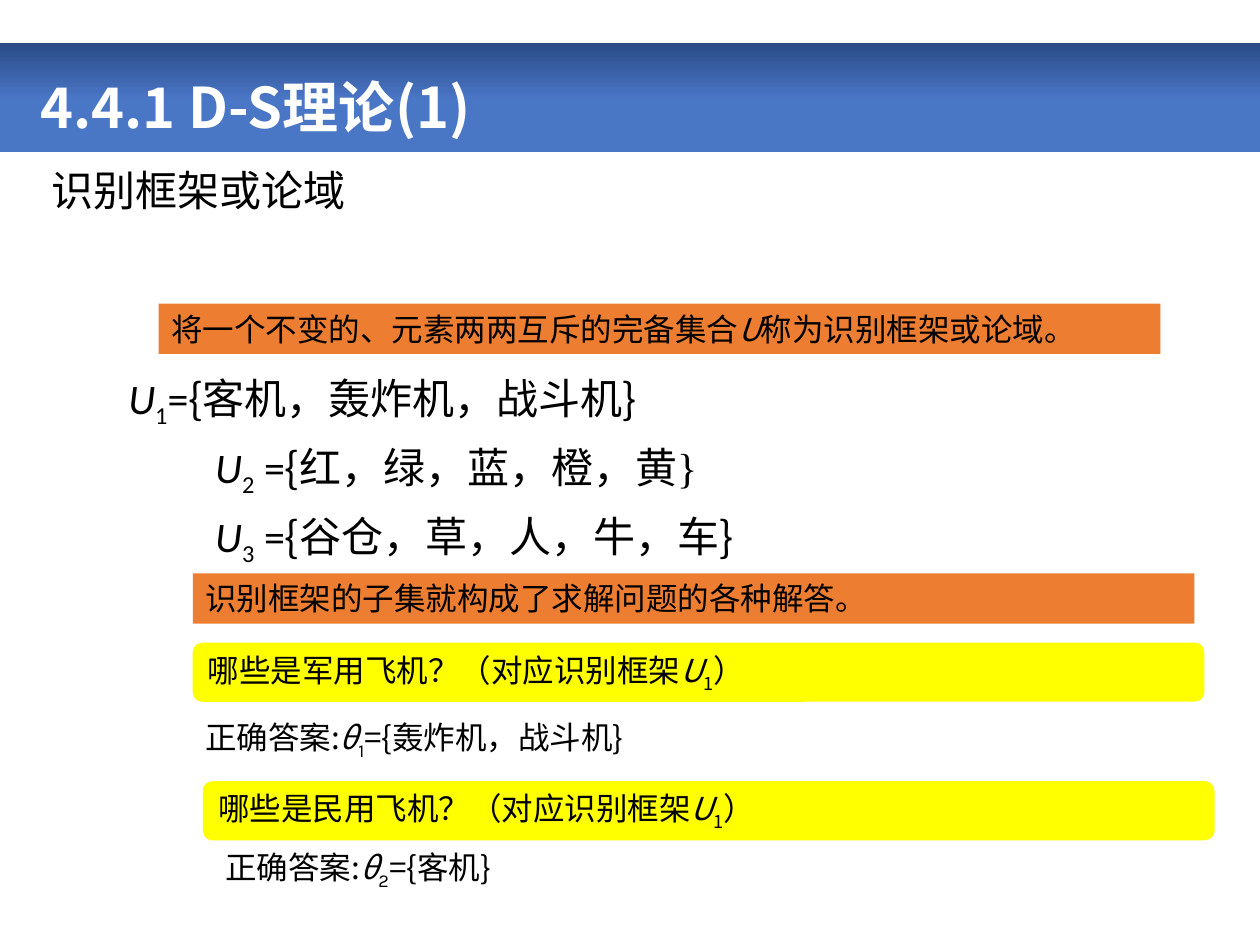
from dataclasses import dataclass

import pptx
import pptx.dml.color
import pptx.enum.shapes
import pptx.enum.text
import pptx.oxml.ns
import pptx.util
from lxml import etree

Inches = pptx.util.Inches
RGBColor = pptx.dml.color.RGBColor
Shape = pptx.enum.shapes.MSO_SHAPE
Anchor = pptx.enum.text.MSO_ANCHOR
Align = pptx.enum.text.PP_ALIGN

BLACK = RGBColor(0x00, 0x00, 0x00)
WHITE = RGBColor(0xFF, 0xFF, 0xFF)
BAND_BLUE = RGBColor(0x4A, 0x76, 0xC6)
BAND_NAVY = RGBColor(0x2A, 0x4B, 0x86)
ORANGE = RGBColor(0xED, 0x7D, 0x31)
YELLOW = RGBColor(0xFF, 0xFF, 0x00)

CJK = "Noto Sans CJK SC"
CALIBRI = "Calibri"
KARLA = "Karla"
TIMES = "Times New Roman"


@dataclass
class Run:
    text: str
    font: str = CJK
    italic: bool = False
    subscript: bool = False


@dataclass
class Box:
    left: float
    top: float
    width: float
    height: float
    runs: list[Run]


@dataclass
class FrameSet:
    index: str
    equals: str
    members: str
    closing_font: str
    indent: float


def add_runs(paragraph, runs: list[Run], size: int,
             color: RGBColor = BLACK, bold: bool = False) -> None:
    for part in runs:
        run = paragraph.add_run()
        run.text = part.text
        run.font.size = pptx.util.Pt(size)
        run.font.bold = bold
        run.font.italic = part.italic
        run.font.color.rgb = color
        run.font.name = part.font
        properties = run.font._element
        east_asian = etree.SubElement(properties, pptx.oxml.ns.qn("a:ea"))
        east_asian.set("typeface", CJK)
        if part.subscript:
            properties.set("baseline", "-25000")


def add_text(slide, box: Box, size: int):
    area = slide.shapes.add_textbox(
        Inches(box.left), Inches(box.top), Inches(box.width), Inches(box.height))
    area.text_frame.word_wrap = True
    add_runs(area.text_frame.paragraphs[0], box.runs, size)
    return area.text_frame


def add_panel(slide, kind, box: Box, fill: RGBColor, anchor):
    panel = slide.shapes.add_shape(
        kind, Inches(box.left), Inches(box.top), Inches(box.width), Inches(box.height))
    panel.shadow.inherit = False
    panel.fill.solid()
    panel.fill.fore_color.rgb = fill
    panel.line.fill.background()
    panel.text_frame.word_wrap = True
    panel.text_frame.vertical_anchor = anchor
    statement = panel.text_frame.paragraphs[0]
    statement.alignment = Align.LEFT
    add_runs(statement, box.runs, 18)


def add_title(slide, text: str) -> None:
    title = slide.shapes.title
    title.left, title.top = Inches(0.22), Inches(0.4)
    title.width, title.height = Inches(9.35), Inches(0.77)
    title.text_frame.vertical_anchor = Anchor.BOTTOM
    heading = title.text_frame.paragraphs[0]
    heading.alignment = Align.LEFT
    heading.line_spacing = 0.9
    add_runs(heading, [Run(text)], 32, WHITE, True)

    band = slide.shapes.add_shape(
        Shape.RECTANGLE, 0, Inches(0.34), Inches(10), Inches(0.87))
    band.shadow.inherit = False
    band.line.fill.background()
    band.fill.gradient()
    band.fill.gradient_angle = 90
    stops = zip(band.fill.gradient_stops, (0.48, 1), (BAND_BLUE, BAND_NAVY))
    for stop, position, color in stops:
        stop.position = position
        stop.color.rgb = color
    title.element.addprevious(band.element)


def add_frame_sets(slide, frame_sets: list[FrameSet]) -> None:
    frame = add_text(slide, Box(0.31, 2.91, 8.62, 1.6, []), 24)
    for number, frame_set in enumerate(frame_sets):
        paragraph = frame.add_paragraph() if number else frame.paragraphs[0]
        paragraph.line_spacing = 0.9
        if number:
            paragraph.space_before = pptx.util.Pt(10)
        paragraph._p.get_or_add_pPr().set("marL", str(Inches(frame_set.indent)))
        add_runs(paragraph, [
            Run("U", CALIBRI, italic=True),
            Run(frame_set.index, CALIBRI, subscript=True),
            Run(frame_set.equals, CALIBRI),
            Run("{"),
            Run(frame_set.members, CALIBRI),
            Run("}", frame_set.closing_font),
        ], 24)


def question(subject: str) -> list[Run]:
    return [Run(f"哪些是{subject}飞机？（对应识别框架"), Run("U", italic=True),
            Run("1", subscript=True), Run("）")]


def answer(index: str, members: str) -> list[Run]:
    return [Run("正确答案:"), Run("θ", italic=True),
            Run(index, KARLA, subscript=True), Run(f"={{{members}}}")]


def main() -> None:
    deck = pptx.Presentation()
    deck.slide_width, deck.slide_height = Inches(10), Inches(7.5)
    slide = deck.slides.add_slide(deck.slide_layouts[5])

    add_title(slide, "4.4.1 D-S理论(1)")
    topic = add_text(slide, Box(0.31, 1.3, 8.62, 0.5, [Run("识别框架或论域")]), 24)
    topic.paragraphs[0].line_spacing = 0.9
    add_frame_sets(slide, [
        FrameSet("1", "=", "客机，轰炸机，战斗机", CJK, 0.61),
        FrameSet("2", " =", "红，绿，蓝，橙，黄", TIMES, 1.3),
        FrameSet("3", " =", "谷仓，草，人，牛，车", CJK, 1.3),
    ])

    statements = [
        Box(1.26, 2.41, 7.95, 0.4, [
            Run("将一个不变的、元素两两互斥的完备集合"),
            Run("U", italic=True), Run("称为识别框架或论域。")]),
        Box(1.53, 4.55, 7.95, 0.4, [Run("识别框架的子集就构成了求解问题的各种解答。")]),
    ]
    for statement in statements:
        add_panel(slide, Shape.RECTANGLE, statement, ORANGE, Anchor.TOP)

    questions = [
        Box(1.53, 5.1, 8.03, 0.47, question("军用")),
        Box(1.61, 6.2, 8.03, 0.47, question("民用")),
    ]
    for asked in questions:
        add_panel(slide, Shape.ROUNDED_RECTANGLE, asked, YELLOW, Anchor.MIDDLE)

    answers = [
        Box(1.53, 5.65, 7.4, 0.4, answer("1", "轰炸机，战斗机")),
        Box(1.69, 6.68, 7.4, 0.4, answer("2", "客机")),
    ]
    for given in answers:
        add_text(slide, given, 18)

    deck.save("out.pptx")


if __name__ == "__main__":
    main()
